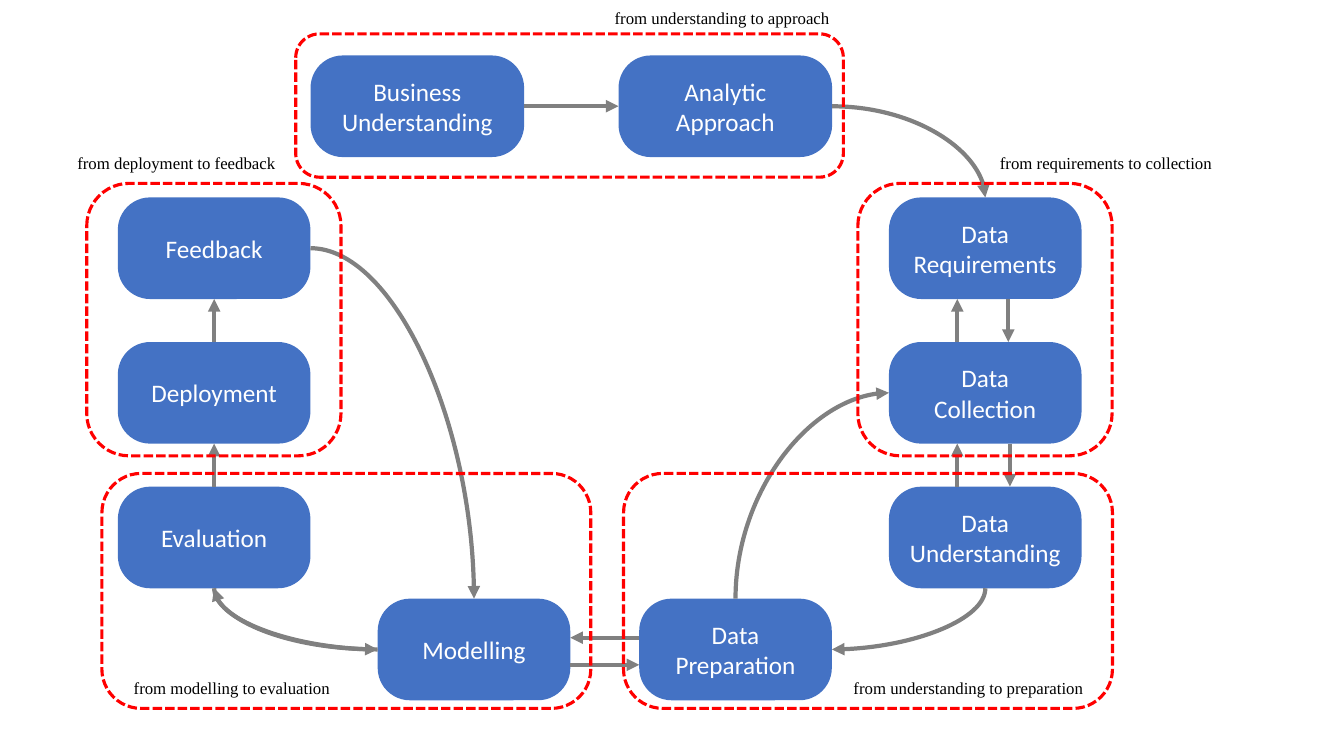
from pptx import Presentation
from pptx.dml.color import RGBColor
from pptx.enum import dml, shapes, text
from pptx.oxml import xmlchemy as xml
from pptx.util import Pt

HUES = {"step": "4472C4", "link": "808080", "zone": "FF0000", "white": "FFFFFF", "ink": "000000"}
HIGH = 72.6
SLIM = 137.6
WIDE = 152.6


def hue(name):
    return RGBColor.from_string(HUES[name])


def write(frame, words, face, size, tint):
    run = frame.paragraphs[0].add_run()
    run.text = words
    run.font.name = face
    run.font.size = Pt(size)
    run.font.color.rgb = hue(tint)


def panel(group, box):
    shape = group.add_shape(shapes.MSO_SHAPE.ROUNDED_RECTANGLE, *map(Pt, box))
    shape.shadow.inherit = False
    return shape


def step(group, box, words):
    shape = panel(group, box)
    shape.adjustments[0] = 0.318
    shape.fill.solid()
    shape.fill.fore_color.rgb = hue("step")
    shape.line.fill.background()
    frame = shape.text_frame
    frame.word_wrap = True
    frame.vertical_anchor = text.MSO_ANCHOR.MIDDLE
    frame.paragraphs[0].alignment = text.PP_ALIGN.CENTER
    write(frame, words, "Calibri", 18, "white")


def port(box, side, shift=0):
    x, y, w, h = box
    return {
        "left": (x, y + h / 2 + shift),
        "right": (x + w, y + h / 2 + shift),
        "top": (x + w / 2 + shift, y),
        "base": (x + w / 2 + shift, y + h),
    }[side]


def link(group, start, end, turn=None):
    (x1, y1), (x2, y2) = start, end
    if turn == "down":
        cx, cy = (x1 + x2) / 2, (y1 + y2) / 2
        dx, dy = (x2 - x1) / 2, (y2 - y1) / 2
        x1, y1, x2, y2 = cx - dy, cy + dx, cx + dy, cy - dx
    kind = shapes.MSO_CONNECTOR.CURVE if turn else shapes.MSO_CONNECTOR.STRAIGHT
    line = group.add_connector(kind, *map(Pt, (x1, y1, x2, y2)))
    line.line.color.rgb = hue("link")
    line.line.width = Pt(3)
    props = line._element.spPr
    if turn:
        props.prstGeom.set("prst", "curvedConnector2")
    if turn == "down":
        props.xfrm.set("rot", "5400000")
    tip = xml.OxmlElement("a:tailEnd")
    tip.set("type", "triangle")
    props.ln.append(tip)
    props.append(xml.OxmlElement("a:effectLst"))


def flow(group, box):
    x, y, w, h = box
    rows = [y + 101.4 + 103.3 * i for i in range(3)]
    low = y + h - HIGH
    far = x + w - SLIM
    plan = {
        "Business Understanding": (x + SLIM, y, WIDE),
        "Analytic Approach": (x + 357.6, y, WIDE),
        "Data Requirements": (far, rows[0], SLIM),
        "Data Collection": (far, rows[1], SLIM),
        "Data Understanding": (far, rows[2], SLIM),
        "Data Preparation": (x + 372.4, low, SLIM),
        "Modelling": (x + 185.6, low, SLIM),
        "Evaluation": (x, rows[2], SLIM),
        "Deployment": (x, rows[1], SLIM),
        "Feedback": (x, rows[0], SLIM),
    }
    spots = {name: (*spot, HIGH) for name, spot in plan.items()}
    for name, spot in spots.items():
        step(group, spot, name)
    goal, plan, need, data, study, prep, model, test, ship, reply = spots.values()
    routes = [
        (goal, "right", 0, plan, "left", 0, None),
        (plan, "right", 0, need, "top", 0, "across"),
        (data, "top", -20, need, "base", -20, None),
        (need, "base", 16.4, data, "top", 16.4, None),
        (study, "top", -20, data, "base", -20, None),
        (data, "base", 17.6, study, "top", 17.6, None),
        (study, "base", 0, prep, "right", 0, "down"),
        (prep, "top", 0, data, "left", 0, "down"),
        (prep, "left", -8.4, model, "right", -8.4, None),
        (model, "right", 11, prep, "left", 11, None),
        (model, "left", 0, test, "base", 0, "across"),
        (test, "base", 0, model, "left", 0, "down"),
        (test, "top", 0, ship, "base", 0, None),
        (ship, "top", 0, reply, "base", 0, None),
        (reply, "right", 0, model, "top", 0, "across"),
    ]
    for source, side, shift, target, edge, slide, turn in routes:
        link(group, port(source, side, shift), port(target, edge, slide), turn)


def zone(group, box, words, dx, dy, wide):
    frame = panel(group, box)
    frame.fill.background()
    frame.line.color.rgb = hue("zone")
    frame.line.width = Pt(2.25)
    frame.line.dash_style = dml.MSO_LINE.SQUARE_DOT
    x, y = box[:2]
    label = group.add_textbox(Pt(x + dx), Pt(y + dy), Pt(wide), Pt(21.8))
    label.text_frame.word_wrap = False
    label.text_frame.auto_size = text.MSO_AUTO_SIZE.SHAPE_TO_FIT_TEXT
    write(label.text_frame, words, "Times New Roman", 12, "ink")


def main():
    deck = Presentation()
    deck.slide_width = Pt(960)
    deck.slide_height = Pt(540)
    page = deck.slides.add_slide(deck.slide_layouts[6])
    flow(page.shapes.add_group_shape().shapes, (84.2, 39.6, 688.4, 460.6))
    zones = [
        ((211.2, 24.2, 391.2, 102.4), "from understanding to approach", 220.8, -22, 173.6),
        ((612.8, 131, 181.6, 194.6), "from requirements to collection", 94.4, -25.2, 168.6),
        ((445.4, 338.2, 349.2, 167.8), "from understanding to preparation", 157.2, 142, 180.8),
        ((72.8, 338.2, 349.2, 167.8), "from modelling to evaluation", 15.6, 142.4, 157),
        ((62, 131, 181.6, 194.6), "from deployment to feedback", -13.8, -25.2, 158.4),
    ]
    for area in zones:
        zone(page.shapes, *area)
    deck.save("out.pptx")


if __name__ == "__main__":
    main()
